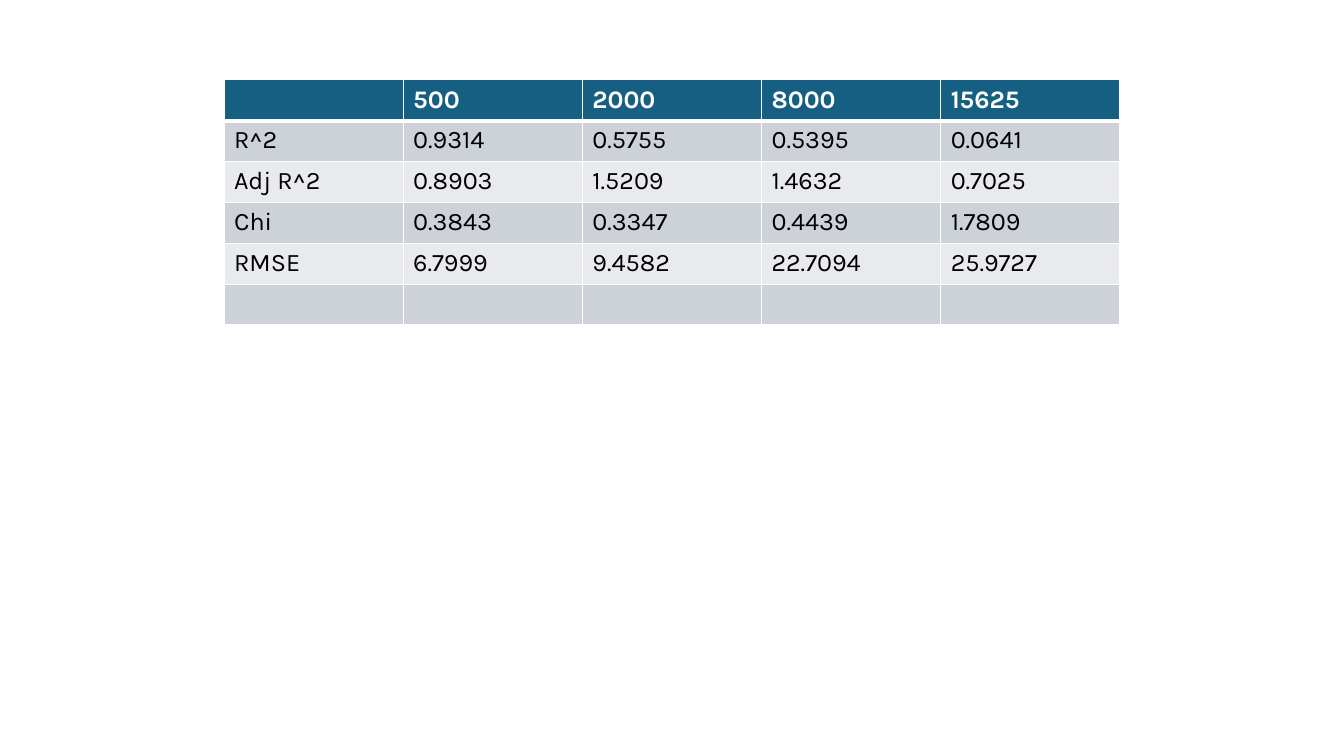
from lxml.etree import SubElement
from pptx import Presentation
from pptx.dml.color import RGBColor
from pptx.oxml.ns import qn
from pptx.util import Pt

WHITE, BLACK = "FFFFFF", "000000"
HEADER_FILL, BAND_FILLS = "156082", ("E8EAED", "CCD2D8")
FIT_RESULTS = [
    ("", "500", "2000", "8000", "15625"),
    ("R^2", "0.9314", "0.5755", "0.5395", "0.0641"),
    ("Adj R^2", "0.8903", "1.5209", "1.4632", "0.7025"),
    ("Chi", "0.3843", "0.3347", "0.4439", "1.7809"),
    ("RMSE", "6.7999", "9.4582", "22.7094", "25.9727"),
    ("", "", "", "", ""),
]


def rgb(color):
    return RGBColor.from_string(color)


def set_borders(cell, **widths):
    """Draw white borders; widths in points, keyed L, R, T, B in that order."""
    tc_pr = cell._tc.get_or_add_tcPr()
    for side, width in widths.items():
        ln = SubElement(tc_pr, qn(f"a:ln{side}"), w=str(Pt(width)))
        fill = SubElement(ln, qn("a:solidFill"))
        SubElement(fill, qn("a:srgbClr"), val=WHITE)


def format_cell(cell, text, row):
    is_header = row == 0
    set_borders(cell, L=1, R=1, T=3 if row == 1 else 1, B=3 if is_header else 1)
    cell.fill.solid()
    cell.fill.fore_color.rgb = rgb(HEADER_FILL if is_header else BAND_FILLS[row % 2])
    if not text:
        return
    p = cell.text_frame.paragraphs[0]
    p.text = text
    font = p.runs[0].font
    font.name, font.size, font.bold = "Karla", Pt(18), is_header
    font.color.rgb = rgb(WHITE if is_header else BLACK)


def add_results_table(s, left, top, width, height):
    n_rows, n_cols = len(FIT_RESULTS), len(FIT_RESULTS[0])
    table = s.shapes.add_table(
        n_rows, n_cols, Pt(left), Pt(top), Pt(width), Pt(height)).table
    for i, values in enumerate(FIT_RESULTS):
        for j, text in enumerate(values):
            format_cell(table.cell(i, j), text, i)


def main():
    prs = Presentation()
    prs.slide_width, prs.slide_height = Pt(960), Pt(540)
    s = prs.slides.add_slide(prs.slide_layouts[6])
    add_results_table(s, 160, 57, 640, 175.2)
    prs.save("out.pptx")


if __name__ == "__main__":
    main()
